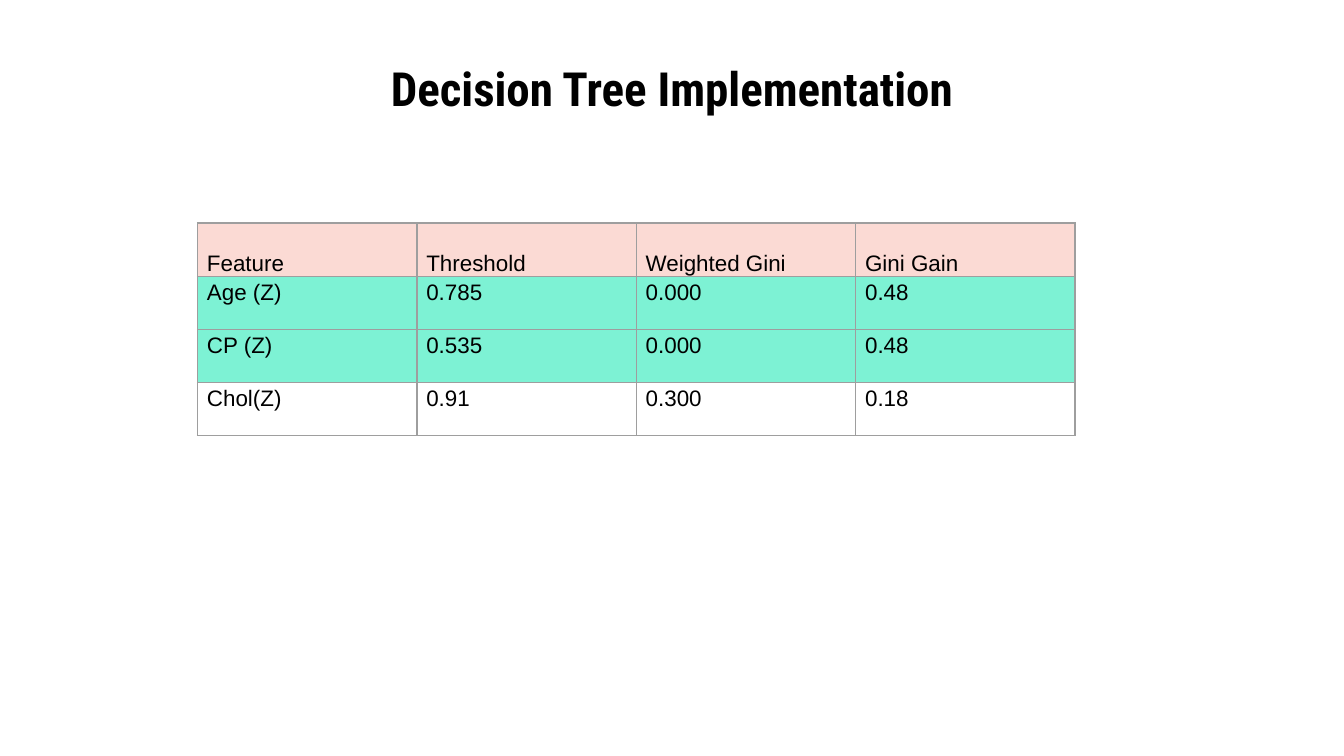
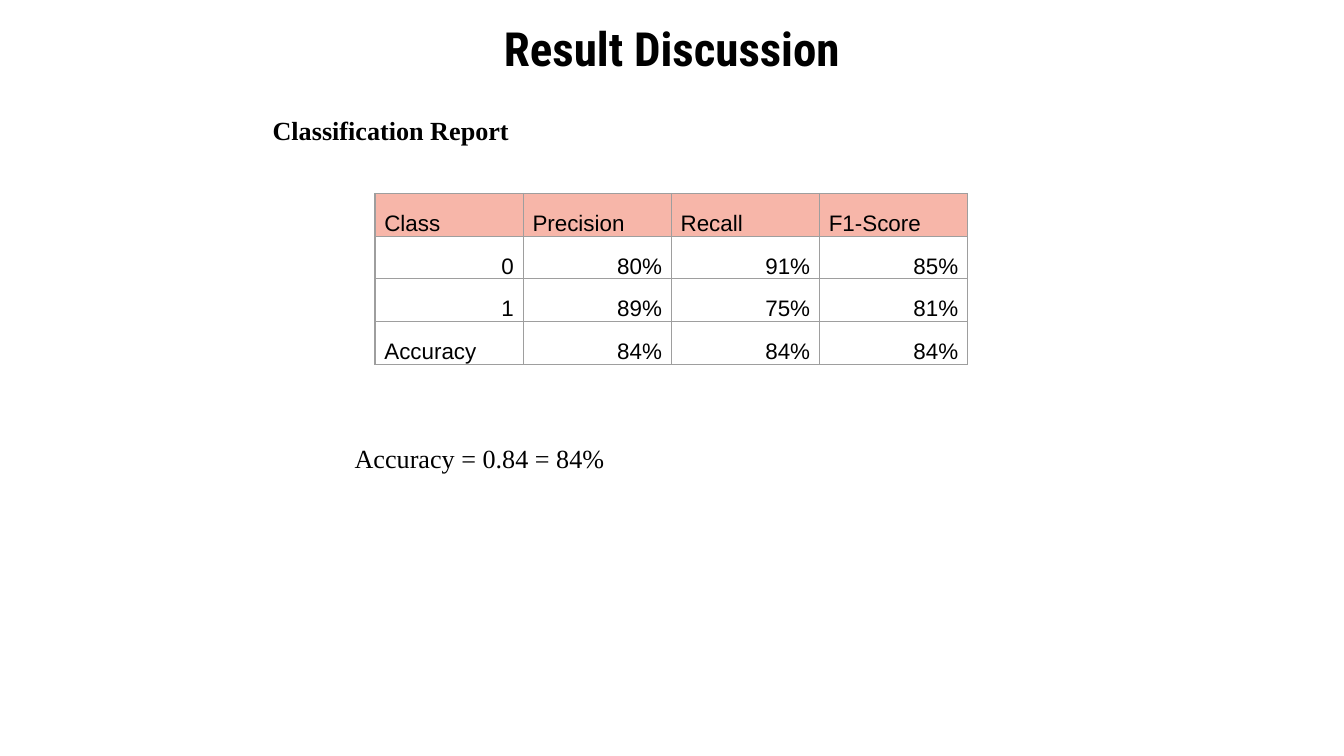
"""Build two slides: decision tree split scores and the classification report."""
from dataclasses import dataclass

from lxml import etree
from pptx import Presentation
from pptx import util as u
from pptx.dml.color import RGBColor
from pptx.enum import text
from pptx.oxml.ns import qn

COLOURS = {
    "ink": "000000",
    "paper": "FFFFFF",
    "grid": "9E9E9E",
    "blush": "FBDAD4",
    "salmon": "F7B6A9",
    "mint": "7DF2D4",
}
TITLE_FONT, TABLE_FONT, BODY_FONT = "Roboto Condensed", "Arial", "Times New Roman"
ALIGN, ANCHOR = text.PP_ALIGN, text.MSO_ANCHOR


@dataclass(frozen=True)
class Label:
    words: str
    left: float
    top: float
    width: float
    height: float
    size: float = 14
    font: str = BODY_FONT
    bold: bool = False
    align: text.PP_ALIGN = ALIGN.LEFT
    anchor: text.MSO_ANCHOR = ANCHOR.TOP
    inset: float = 0.05


@dataclass(frozen=True)
class Grid:
    rows: list[list[str]]
    fills: list[str]
    left: float
    top: float
    width: float
    height: float
    spacing: float
    after: float = 0
    body_anchor: text.MSO_ANCHOR = ANCHOR.TOP
    numbers_right: bool = False


SPLITS = Grid(
    [
        ["Feature", "Threshold", "Weighted Gini", "Gini Gain"],
        ["Age (Z)", "0.785", "0.000", "0.48"],
        ["CP (Z)", "0.535", "0.000", "0.48"],
        ["Chol(Z)", "0.91", "0.300", "0.18"],
    ],
    ["blush", "mint", "mint", "paper"],
    1.47, 1.66, 6.53, 1.58, spacing=1.15, after=1.8,
)
REPORT = Grid(
    [
        ["Class", "Precision", "Recall", "F1-Score"],
        ["0", "80%", "91%", "85%"],
        ["1", "89%", "75%", "81%"],
        ["Accuracy", "84%", "84%", "84%"],
    ],
    ["salmon", "paper", "paper", "paper"],
    2.79, 1.44, 4.41, 1.27, spacing=1.07,
    body_anchor=ANCHOR.BOTTOM, numbers_right=True,
)
REPORT_LABELS = [
    Label("Classification Report", 1.93, 0.8, 7.31, 0.34, bold=True),
    Label("Accuracy = 0.84 = 84%", 2.54, 3.24, 2.18, 0.34),
]


def colour(name: str) -> RGBColor:
    return RGBColor.from_string(COLOURS[name])


def add_span(para, words: str, font: str, size: float, bold: bool = False) -> None:
    span = para.add_run()
    span.text = words
    span.font.name = font
    span.font.size = u.Pt(size)
    span.font.bold = bold
    span.font.color.rgb = colour("ink")


def add_label(page, label: Label) -> None:
    box = page.shapes.add_textbox(
        u.Inches(label.left), u.Inches(label.top),
        u.Inches(label.width), u.Inches(label.height),
    )
    frame = box.text_frame
    frame.word_wrap = True
    frame.vertical_anchor = label.anchor
    frame.margin_top = frame.margin_bottom = u.Inches(label.inset)
    para = frame.paragraphs[0]
    para.alignment = label.align
    add_span(para, label.words, label.font, label.size, label.bold)


def add_title(page, words: str, top: float) -> None:
    add_label(page, Label(
        words, 0.5, top, 9, 0.41, 25.2, TITLE_FONT, True,
        ALIGN.CENTER, ANCHOR.MIDDLE, 0.1,
    ))


def add_borders(cell) -> None:
    properties = cell._tc.get_or_add_tcPr()
    for side in ("lnL", "lnR", "lnT", "lnB"):
        line = etree.SubElement(properties, qn(f"a:{side}"), w=str(u.Pt(0.75)))
        fill = etree.SubElement(line, qn("a:solidFill"))
        etree.SubElement(fill, qn("a:srgbClr"), val=COLOURS["grid"])


def fill_cell(cell, words: str, fill: str, header: bool, grid: Grid) -> None:
    add_borders(cell)
    cell.fill.solid()
    cell.fill.fore_color.rgb = colour(fill)
    cell.margin_left = cell.margin_right = u.Inches(0.07)
    cell.margin_top = cell.margin_bottom = 0
    cell.vertical_anchor = ANCHOR.BOTTOM if header else grid.body_anchor
    para = cell.text_frame.paragraphs[0]
    para.line_spacing = grid.spacing
    para.space_after = u.Pt(grid.after)
    if grid.numbers_right and words[0].isdigit():
        para.alignment = ALIGN.RIGHT
    add_span(para, words, TABLE_FONT, 12)


def add_grid(page, grid: Grid) -> None:
    table = page.shapes.add_table(
        len(grid.rows), len(grid.rows[0]),
        u.Inches(grid.left), u.Inches(grid.top),
        u.Inches(grid.width), u.Inches(grid.height),
    ).table
    table.first_row = table.horz_banding = False
    for row, (values, fill) in enumerate(zip(grid.rows, grid.fills)):
        for column, words in enumerate(values):
            fill_cell(table.cell(row, column), words, fill, row == 0, grid)


def add_page(deck, title: str, title_top: float, grid: Grid, labels: list[Label]) -> None:
    page = deck.slides.add_slide(deck.slide_layouts[6])
    page.background.fill.solid()
    page.background.fill.fore_color.rgb = colour("paper")
    add_title(page, title, title_top)
    add_grid(page, grid)
    for label in labels:
        add_label(page, label)


def main() -> None:
    deck = Presentation()
    deck.slide_width = u.Inches(10)
    deck.slide_height = deck.slide_width * 9 // 16
    add_page(deck, "Decision Tree Implementation", 0.45, SPLITS, [])
    add_page(deck, "Result Discussion", 0.15, REPORT, REPORT_LABELS)
    deck.save("out.pptx")


if __name__ == "__main__":
    main()
